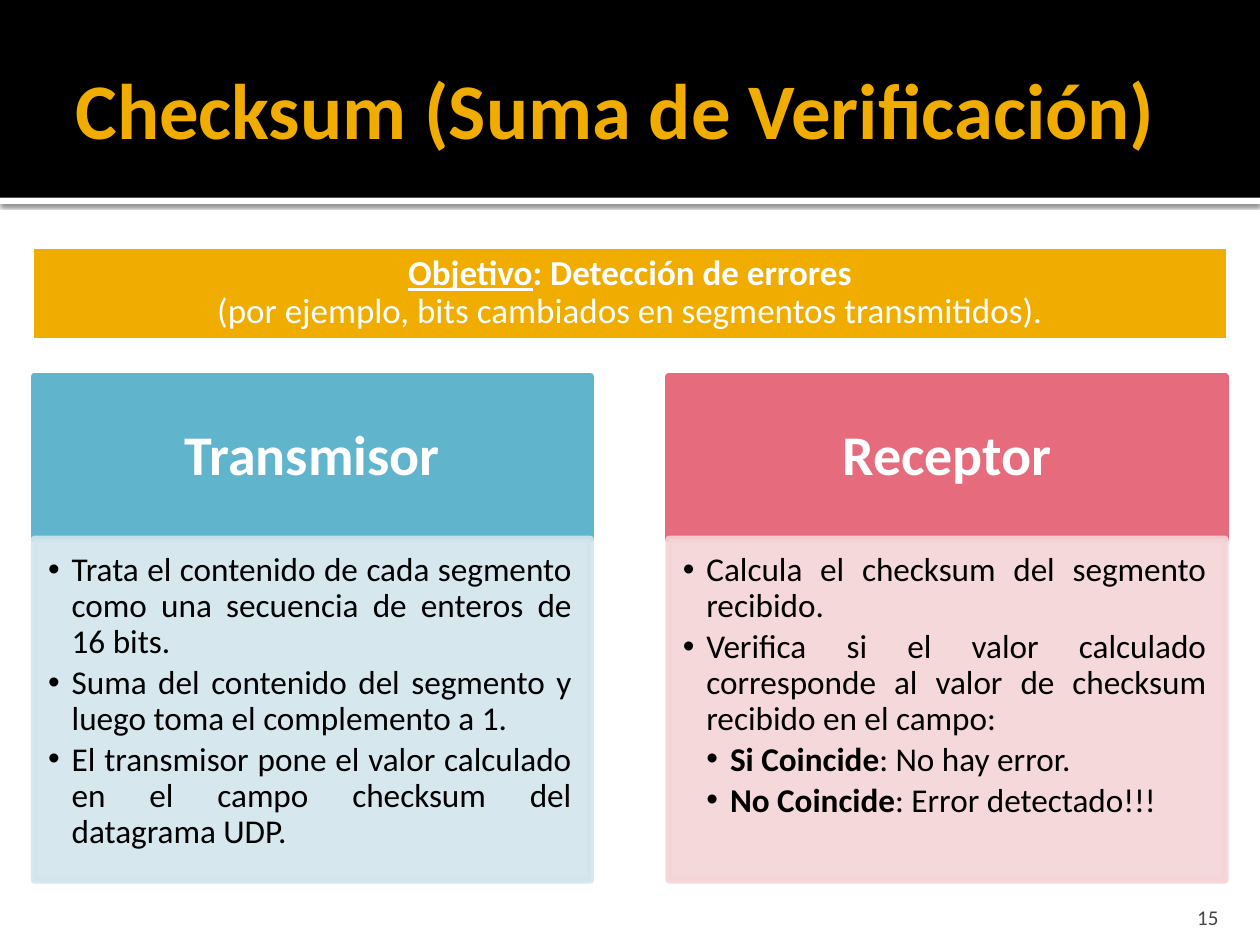
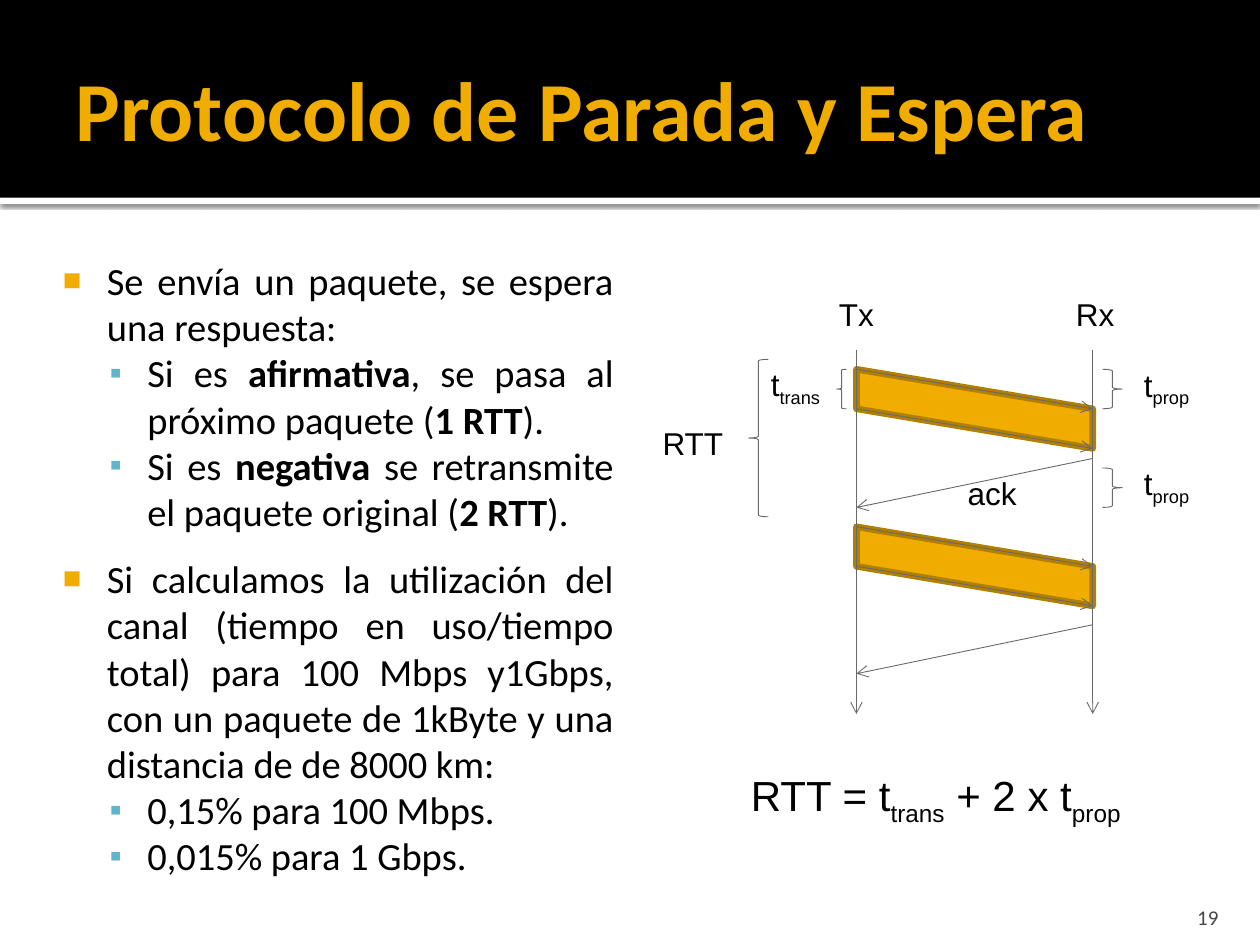
import pptx
import pptx.dml.color
import pptx.enum.shapes
import pptx.enum.text
import pptx.oxml
import pptx.oxml.ns
import pptx.util
from lxml import etree

Pt = pptx.util.Pt
SHAPE = pptx.enum.shapes.MSO_SHAPE
ALIGN = pptx.enum.text.PP_ALIGN
ANCHOR = pptx.enum.text.MSO_ANCHOR
FIT = pptx.enum.text.MSO_AUTO_SIZE

BLACK = "000000"
WHITE = "FFFFFF"
GOLD = "F0AD00"
DARK_GOLD = "B28000"
BLUE = "60B5CC"
PALE_BLUE = "D2E5EC"
PINK = "E66C7D"
PALE_PINK = "F5D4D7"
GRAY = "68686D"
NUMBER_GRAY = "454545"


def color(value):
    return pptx.dml.color.RGBColor.from_string(value)


def add_xml(parent, tag, **attributes):
    element = etree.SubElement(parent, pptx.oxml.ns.qn(tag))
    for name, value in attributes.items():
        element.set(name, str(value))
    return element


def assign(target, values):
    for name, value in values.items():
        setattr(target, name, value)


class SlideBuilder:
    def __init__(self, deck):
        self.deck = deck
        self.page = None

    def start(self, title, title_size, number):
        self.page = self.deck.slides.add_slide(self.deck.slide_layouts[6])
        stripe = self.shape(SHAPE.RECTANGLE, (0, 113, 720, 3.6), WHITE)
        self.shadow(stripe)
        self.shape(SHAPE.RECTANGLE, (0, 0, 720, 113), BLACK)
        self.text((36, 12.2, 648, 98.6), [(title, {})], size=title_size, hue=GOLD, bold=True,
                  insets=(7.2, 3.6, 3.6, 3.6), anchor=ANCHOR.MIDDLE)
        self.text((645.8, 509.8, 57.6, 21.6), [(number, {"alignment": ALIGN.RIGHT})], size=12,
                  hue=NUMBER_GRAY, insets=(7.2, 3.6, 7.2, 0), anchor=ANCHOR.BOTTOM)

    def shadow(self, shape):
        effects = shape.element.spPr.find(pptx.oxml.ns.qn("a:effectLst"))
        outer = add_xml(effects, "a:outerShdw", blurRad=Pt(2.5), dist=Pt(0.8),
                        dir=5400000, algn="tl", rotWithShape=0)
        hue = add_xml(outer, "a:srgbClr", val=BLACK)
        add_xml(hue, "a:alpha", val=60000)

    def paint(self, shape, fill, line, line_width, opacity=100):
        shape.shadow.inherit = False
        if fill:
            shape.fill.solid()
            shape.fill.fore_color.rgb = color(fill)
        else:
            shape.fill.background()
        if line:
            shape.line.color.rgb = color(line)
            shape.line.width = Pt(line_width)
        else:
            shape.line.fill.background()
        if opacity < 100:
            for hue in shape.element.spPr.iter(pptx.oxml.ns.qn("a:srgbClr")):
                add_xml(hue, "a:alpha", val=opacity * 1000)
        return shape

    def shape(self, kind, area, fill=None, line=None, line_width=3.78, opacity=100):
        shape = self.page.shapes.add_shape(kind, *map(Pt, area))
        return self.paint(shape, fill, line, line_width, opacity)

    def polygon(self, points, fill, line):
        corners = [(Pt(x), Pt(y)) for x, y in points]
        outline = self.page.shapes.build_freeform(*corners[0])
        outline.add_line_segments(corners[1:], close=True)
        return self.paint(outline.convert_to_shape(), fill, line, 3.78)

    def brace(self, kind, area):
        self.shape(kind, area, line=GRAY, line_width=0.5)

    def arrow(self, start, end):
        kind = pptx.enum.shapes.MSO_CONNECTOR.STRAIGHT
        arrow = self.page.shapes.add_connector(kind, *map(Pt, start + end))
        arrow.line.color.rgb = color(GRAY)
        arrow.line.width = Pt(0.5)
        add_xml(arrow.element.spPr.get_or_add_ln(), "a:tailEnd", type="arrow")
        add_xml(arrow.element.spPr, "a:effectLst")

    def text(self, area, paragraphs, **style):
        box = self.page.shapes.add_textbox(*map(Pt, area))
        self.set_text(box, paragraphs, **style)
        return box

    def label(self, area, words, size=18):
        box = self.text(area, [(words, {})], size=size, hue=BLACK, font="Arial", subscript=True)
        box.text_frame.auto_size = FIT.SHAPE_TO_FIT_TEXT

    def set_text(self, box, paragraphs, size, hue, font="Calibri", bold=False, subscript=False,
                 emphasis=None, insets=(7.2, 3.6, 7.2, 3.6), anchor=ANCHOR.TOP):
        frame = box.text_frame
        sides = ("margin_left", "margin_top", "margin_right", "margin_bottom")
        assign(frame, dict(zip(sides, map(Pt, insets))))
        assign(frame, {"word_wrap": True, "vertical_anchor": anchor})
        for index, (words, layout) in enumerate(paragraphs):
            para = frame.add_paragraph() if index else frame.paragraphs[0]
            layout = dict(layout)
            bullet = layout.pop("bullet", None)
            para_bold = layout.pop("bold", bold)
            assign(para, {"alignment": ALIGN.LEFT, **layout})
            if bullet:
                self.bullet(para, **bullet)
            for position, part in enumerate(words.split("*")):
                if not part:
                    continue
                span = para.add_run()
                span.text = part
                assign(span.font, {"name": font, "size": Pt(size), "bold": para_bold})
                span.font.color.rgb = color(hue)
                if position % 2 and subscript:
                    span._r.get_or_add_rPr().set("baseline", "-25000")
                elif position % 2:
                    assign(span.font, emphasis or {"bold": True})

    def bullet(self, para, mark, left, hang, hue=BLACK, percent=100):
        properties = para._p.get_or_add_pPr()
        properties.set("marL", str(Pt(left)))
        properties.set("indent", str(Pt(-hang)))
        add_xml(add_xml(properties, "a:buClr"), "a:srgbClr", val=hue)
        add_xml(properties, "a:buSzPct", val=percent * 1000)
        add_xml(properties, "a:buFont", typeface="Arial")
        add_xml(properties, "a:buChar", char=mark)


def build_checksum(builder):
    builder.start("Checksum (Suma de Verificación)", 45, "15")
    centered = {"alignment": ALIGN.CENTER, "line_spacing": 0.9}
    goal = builder.shape(SHAPE.RECTANGLE, (17.3, 140.4, 685.4, 54.7), GOLD, WHITE)
    builder.set_text(goal, [
        ("*Objetivo*: Detección de errores", {**centered, "bold": True}),
        ("(por ejemplo, bits cambiados en segmentos transmitidos).", centered),
    ], size=20, hue=WHITE, emphasis={"underline": True}, insets=(6, 6, 6, 6),
        anchor=ANCHOR.MIDDLE)

    item, subitem = [
        {"alignment": ALIGN.JUSTIFY, "level": level, "line_spacing": 0.9, "space_after": Pt(2.85),
         "bullet": {"mark": "•", "left": 13.5 * level, "hang": 13.5}}
        for level in (1, 2)
    ]
    columns = [
        ("Transmisor", BLUE, PALE_BLUE, [
            ("Trata el contenido de cada segmento como una secuencia de enteros de 16 bits.", item),
            ("Suma del contenido del segmento y luego toma el complemento a 1.", item),
            ("El transmisor pone el valor calculado en el campo checksum del datagrama UDP.", item),
        ]),
        ("Receptor", PINK, PALE_PINK, [
            ("Calcula el checksum del segmento recibido.", item),
            ("Verifica si el valor calculado corresponde al valor de checksum recibido "
             "en el campo:", item),
            ("*Si Coincide*: No hay error.", subitem),
            ("*No Coincide*: Error detectado!!!", subitem),
        ]),
    ]
    for index, (name, strong, pale, steps) in enumerate(columns):
        left = 19.5 + 362.7 * index
        header = builder.shape(SHAPE.RECTANGLE, (left, 215, 318, 93), strong, strong)
        builder.set_text(header, [(name, centered)], size=32, hue=WHITE, bold=True,
                         insets=(18, 10, 18, 10), anchor=ANCHOR.MIDDLE)
        body = builder.shape(SHAPE.RECTANGLE, (left, 308, 318, 195), pale, pale, opacity=90)
        builder.set_text(body, steps, size=19, hue=BLACK, insets=(8, 8, 10.8, 12))


def build_stop_and_wait(builder):
    builder.start("Protocolo de Parada y Espera", 48, "19")
    item = {"alignment": ALIGN.JUSTIFY,
            "bullet": {"mark": "■", "left": 34.5, "hang": 25.2, "hue": GOLD, "percent": 80}}
    subitem = {"alignment": ALIGN.JUSTIFY, "level": 1,
               "bullet": {"mark": "▪", "left": 57.6, "hang": 21.6, "hue": BLUE, "percent": 90}}
    builder.text((22.3, 139.7, 335.5, 372), [
        ("Se envía un paquete, se espera una respuesta:", item),
        ("Si es *afirmativa*, se pasa al próximo paquete (*1 RTT*).", subitem),
        ("Si es *negativa* se retransmite el paquete original (*2 RTT*).", subitem),
        ("Si calculamos la utilización del canal (tiempo en uso/tiempo total) para 100 Mbps "
         "y1Gbps, con un paquete de 1kByte y una distancia de de 8000 km:",
         {**item, "space_before": Pt(12)}),
        ("0,15% para 100 Mbps.", subitem),
        ("0,015% para 1 Gbps.", subitem),
    ], size=22, hue=BLACK, insets=(4.3, 7.2, 7.2, 3.6))

    sender, receiver = 489.4, 624.4
    delay = 22.6
    cycles = [(211, 262), (301, 357)]
    for sent, acknowledged in cycles:
        builder.polygon([(sender, sent), (receiver, sent + delay),
                         (receiver, sent + 2 * delay), (sender, sent + delay)], GOLD, DARK_GOLD)
    for sent, acknowledged in cycles:
        for moment in (sent, sent + delay):
            builder.arrow((sender, moment), (receiver, moment + delay))
        builder.arrow((receiver, acknowledged), (sender, acknowledged + 28))
    for station in (sender, receiver):
        builder.arrow((station, 200), (station, 408))

    builder.brace(SHAPE.LEFT_BRACE, (478, 211, 5.8, delay))
    builder.brace(SHAPE.LEFT_BRACE, (427.7, 205.3, 11.3, 90))
    for top in (211, 267.4):
        builder.brace(SHAPE.RIGHT_BRACE, (630, top, 11.3, delay))
        builder.label((646.6, top - 5.6, 45.4, 28.8), "t*prop*")
    builder.label((433.4, 205.3, 50.4, 28.8), "t*trans*")
    builder.label((545.8, 267.4, 45.4, 28.8), "ack")
    builder.label((371.5, 239, 56.2, 28.8), "RTT")
    builder.label((607.7, 165, 45.4, 28.8), "Rx")
    builder.label((472.3, 165, 45.4, 28.8), "Tx")
    builder.label((422, 436.3, 242, 36), "RTT = t*trans* + 2 x t*prop*", 24)


def main():
    deck = pptx.Presentation()
    assign(deck, {"slide_width": Pt(720), "slide_height": Pt(540)})
    builder = SlideBuilder(deck)
    build_checksum(builder)
    build_stop_and_wait(builder)
    deck.save("out.pptx")


if __name__ == "__main__":
    main()
